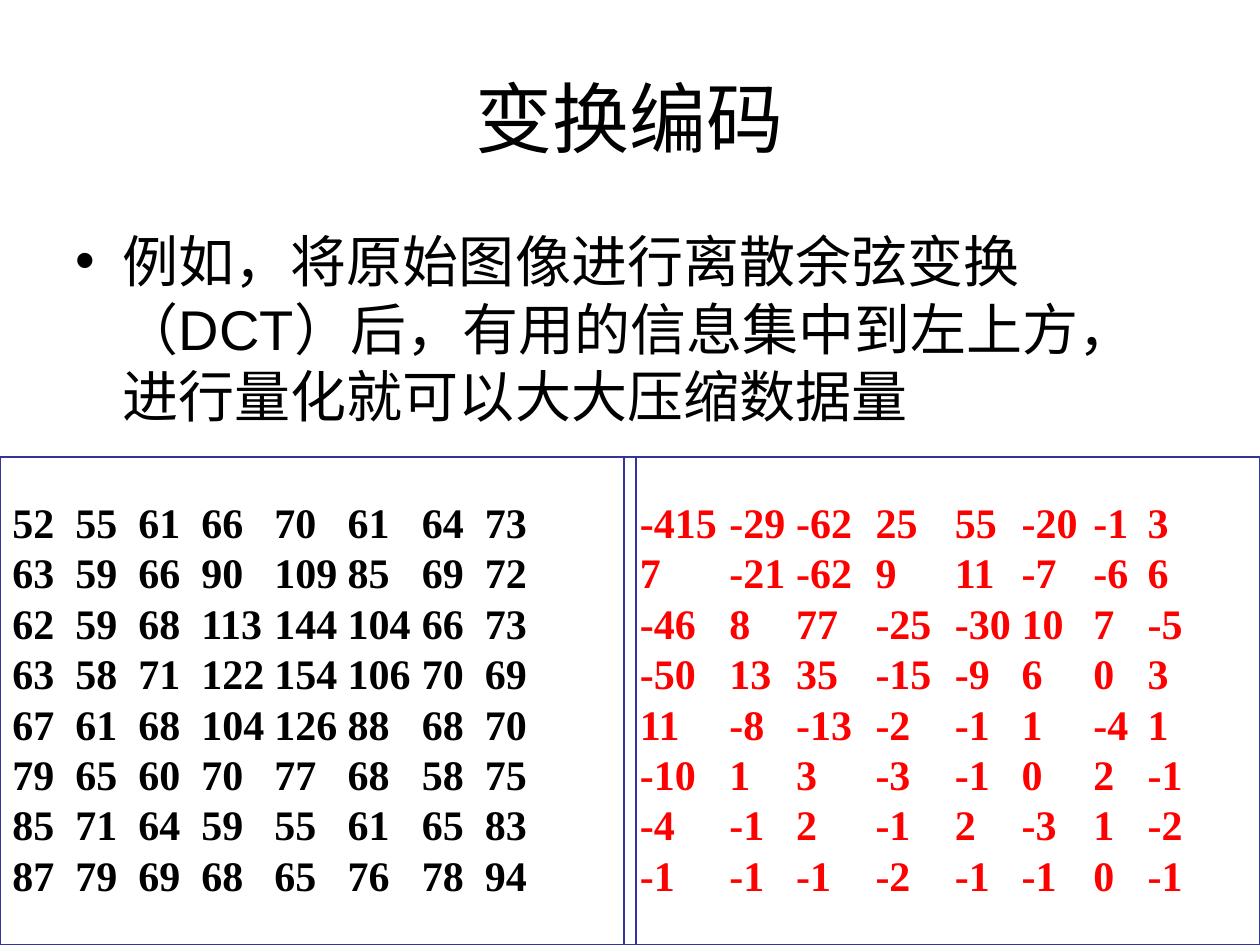
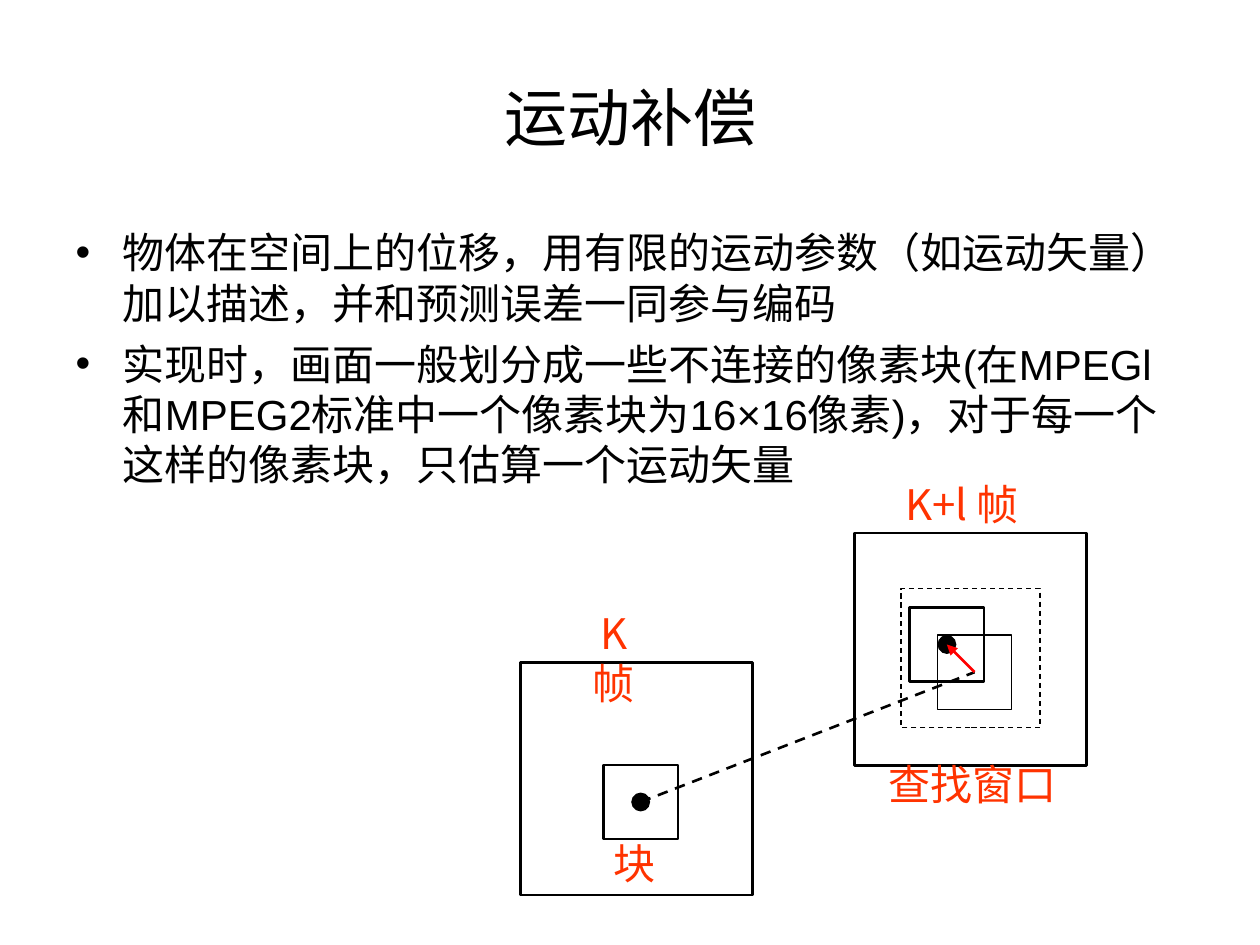
import dataclasses

import pptx
import pptx.dml.color
import pptx.enum.dml
import pptx.enum.shapes
import pptx.enum.text
import pptx.oxml.ns
import pptx.util
from lxml import etree

Align = pptx.enum.text.PP_ALIGN
Anchor = pptx.enum.text.MSO_ANCHOR
Shape = pptx.enum.shapes.MSO_SHAPE
DASH = pptx.enum.dml.MSO_LINE.DASH
qn = pptx.oxml.ns.qn


@dataclasses.dataclass(frozen=True)
class Theme:
    black: str = "000000"
    red: str = "FF0000"
    orange: str = "FF3300"
    navy: str = "333399"
    sans: str = "Arial"
    serif: str = "Times New Roman"
    chinese: str = "Noto Sans CJK SC"
    title: int = 44
    small_title: int = 36
    body: int = 32
    text: int = 24


THEME = Theme()

presentation = pptx.Presentation()
presentation.slide_width = pptx.util.Inches(10)
presentation.slide_height = pptx.util.Inches(7.5)
UNIT = presentation.slide_width // 100  # the slide is a grid of 100 columns by 75 rows


def write(shape, lines, color, font, space=0, align=None, frame_format=None):
    """Fill a shape with one paragraph per line; space separates the paragraphs."""
    frame = shape.text_frame
    frame_values = {"auto_size": pptx.enum.text.MSO_AUTO_SIZE.NONE, "word_wrap": True}
    for name, value in (frame_values | (frame_format or {})).items():
        setattr(frame, name, value)
    for index, line in enumerate(lines):
        paragraph = frame.add_paragraph() if index else frame.paragraphs[0]
        paragraph.space_before = pptx.util.Pt(space if index else 0)
        if align is not None:
            paragraph.alignment = align
        run = paragraph.add_run()
        run.text = line
        for name, value in font.items():
            setattr(run.font, name, value)
        run.font.color.rgb = pptx.dml.color.RGBColor.from_string(color)
        latin = run.font._element.find(qn("a:latin"))
        east_asian = etree.Element(qn("a:ea"), typeface=THEME.chinese)
        latin.addnext(east_asian)


def add_box(slide, kind, place, color, line_width=None, dash=None):
    """Draw an outline of the given line width, or a solid shape without one."""
    box = slide.shapes.add_shape(kind, *[round(length * UNIT) for length in place])
    box.shadow.inherit = False
    rgb = pptx.dml.color.RGBColor.from_string(color)
    if line_width is None:
        box.fill.solid()
        box.fill.fore_color.rgb = rgb
        box.line.fill.background()
    else:
        box.fill.background()
        box.line.color.rgb = rgb
        box.line.width = pptx.util.Pt(line_width)
        if dash:
            box.line.dash_style = dash
    return box


# Titles and lists
pages = [
    ("变换编码", THEME.title, THEME.body, [
        "例如，将原始图像进行离散余弦变换（DCT）后，有用的信息集中到左上方，进行量化就可以大大压缩数据量",
    ]),
    ("运动补偿", THEME.small_title, THEME.text, [
        "物体在空间上的位移，用有限的运动参数（如运动矢量）加以描述，并和预测误差一同参与编码",
        "实现时，画面一般划分成一些不连接的像素块(在MPEGl和MPEG2标准中一个像素块为16×16像素)，"
        "对于每一个这样的像素块，只估算一个运动矢量",
    ]),
]
slides = []
for title, title_size, body_size, points in pages:
    slide = presentation.slides.add_slide(presentation.slide_layouts[1])
    slides.append(slide)
    parts = [
        (slide.shapes.title, (5, 3, 90, 12.5), [title], title_size, Align.CENTER, Anchor.MIDDLE),
        (slide.placeholders[1], (5, 17.5, 90, 49.5), points, body_size, Align.LEFT, Anchor.TOP),
    ]
    for placeholder, place, lines, size, align, anchor in parts:
        for name, length in zip(("left", "top", "width", "height"), place):
            setattr(placeholder, name, round(length * UNIT))
        write(placeholder, lines, THEME.black,
              {"name": THEME.sans, "size": pptx.util.Pt(size)},
              space=6, align=align, frame_format={"vertical_anchor": anchor})

transform_slide, motion_slide = slides

# Pixel values and their transform, one tab stop (in grid columns) per matrix column
pixels = [
    (52, 55, 61, 66, 70, 61, 64, 73),
    (63, 59, 66, 90, 109, 85, 69, 72),
    (62, 59, 68, 113, 144, 104, 66, 73),
    (63, 58, 71, 122, 154, 106, 70, 69),
    (67, 61, 68, 104, 126, 88, 68, 70),
    (79, 65, 60, 70, 77, 68, 58, 75),
    (85, 71, 64, 59, 55, 61, 65, 83),
    (87, 79, 69, 68, 65, 76, 78, 94),
]
coefficients = [
    (-415, -29, -62, 25, 55, -20, -1, 3),
    (7, -21, -62, 9, 11, -7, -6, 6),
    (-46, 8, 77, -25, -30, 10, 7, -5),
    (-50, 13, 35, -15, -9, 6, 0, 3),
    (11, -8, -13, -2, -1, 1, -4, 1),
    (-10, 1, 3, -3, -1, 0, 2, -1),
    (-4, -1, 2, -1, 2, -3, 1, -2),
    (-1, -1, -1, -2, -1, -1, 0, -1),
]
matrices = [
    (pixels, 0, THEME.black, (5, 10, 15, 20.8, 26.6, 32.5, 37.5)),
    (coefficients, 49.8, THEME.red, (7.1, 12.4, 18.7, 25, 30.3, 36, 40.3)),
]
for matrix, left, color, stops in matrices:
    place = (left, 38.9, 49.5, 33)
    matrix_box = transform_slide.shapes.add_textbox(*[round(length * UNIT) for length in place])
    write(matrix_box, ["\t".join(map(str, row)) for row in matrix], color,
          {"name": THEME.serif, "size": pptx.util.Pt(THEME.text), "bold": True},
          frame_format={"vertical_anchor": Anchor.MIDDLE})
    for paragraph in matrix_box.text_frame.paragraphs:
        tabs = etree.SubElement(paragraph._p.get_or_add_pPr(), qn("a:tabLst"))
        for stop in stops:
            etree.SubElement(tabs, qn("a:tab"), pos=str(round(stop * UNIT)), algn="l")

for left in (49.5, 0):
    add_box(transform_slide, Shape.RECTANGLE, (left, 36.3, 50.5, 38.7), THEME.navy, 1)

# Two frames with the same block position; the matched block lies up and to the left
FRAME, BLOCK, WINDOW, DOT = 18.45, 5.9, 11.05, 1.5
frame_k = (41.3, 52.6)
frame_next = (67.8, 42.3)
block_k, block_next = [(x + 6.6, y + 8.1) for x, y in (frame_k, frame_next)]
matched_block = (block_next[0] - 2.2, block_next[1] - 2.2)
window = (frame_next[0] + 3.7, frame_next[1] + 4.4)
center_k, center_next, center_matched = [
    (x + BLOCK / 2, y + BLOCK / 2) for x, y in (block_k, block_next, matched_block)]

squares = [
    (frame_k, FRAME, 1.5, None),
    (block_k, BLOCK, 1.5, None),
    (frame_next, FRAME, 1.5, None),
    (block_next, BLOCK, 0.75, None),
    (matched_block, BLOCK, 1.5, None),
    (window, WINDOW, 0.75, DASH),
]
for corner, side, line_width, dash in squares:
    add_box(motion_slide, Shape.RECTANGLE, (*corner, side, side), THEME.black, line_width, dash)
for x, y in (center_k, center_matched):
    add_box(motion_slide, Shape.OVAL, (x - DOT / 2, y - DOT / 2, DOT, DOT), THEME.black)

vectors = [
    (center_k, center_next, THEME.black, DASH, False),
    (center_next, center_matched, THEME.red, None, True),
]
for start, end, color, dash, has_arrow in vectors:
    vector = motion_slide.shapes.add_connector(
        pptx.enum.shapes.MSO_CONNECTOR.STRAIGHT,
        *[round(length * UNIT) for length in (*start, *end)])
    vector.line.color.rgb = pptx.dml.color.RGBColor.from_string(color)
    vector.line.width = pptx.util.Pt(1.5)
    if dash:
        vector.line.dash_style = dash
    if has_arrow:
        etree.SubElement(vector.line._get_or_add_ln(), qn("a:tailEnd"), type="triangle")
    etree.SubElement(vector._element.spPr, qn("a:effectLst"))

# Labels by centre, top and width; the narrow one breaks after its letter
labels = [
    ("K帧", 48.7, 47.7, 7),
    ("K+l 帧", 76.35, 37.5, 16),
    ("块", 50.35, 66, 7),
    ("查找窗口", 77.2, 59.7, 18),
]
for label, center, top, width in labels:
    place = (center - width / 2, top, width, 5)
    label_box = motion_slide.shapes.add_textbox(*[round(length * UNIT) for length in place])
    write(label_box, [label], THEME.orange,
          {"name": THEME.chinese, "size": pptx.util.Pt(THEME.text)}, align=Align.CENTER)

presentation.save("out.pptx")
